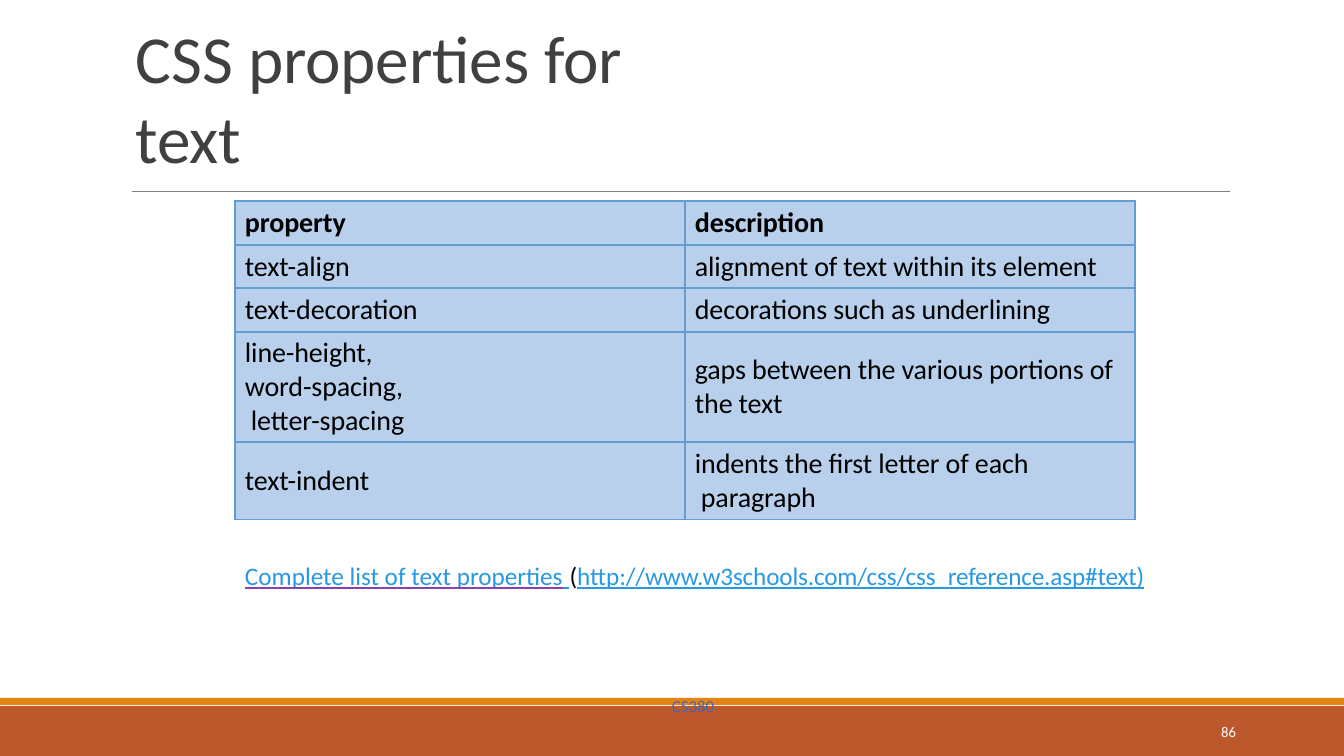
from dataclasses import dataclass

from lxml import etree
from pptx import Presentation
from pptx.dml.color import RGBColor
from pptx.enum.shapes import MSO_CONNECTOR, MSO_SHAPE
from pptx.enum.text import MSO_ANCHOR, PP_ALIGN
from pptx.oxml.ns import qn
from pptx.util import Emu, Pt

PX = 9071  # EMU in one px, at 100.8 px to the inch
RECT, LINE = MSO_SHAPE.RECTANGLE, MSO_CONNECTOR.STRAIGHT
TOP, MIDDLE = MSO_ANCHOR.TOP, MSO_ANCHOR.MIDDLE
LEFT, RIGHT = PP_ALIGN.LEFT, PP_ALIGN.RIGHT


@dataclass(frozen=True)
class Theme:
    font: str = "Calibri"
    title: str = "404040"
    body: str = "000000"
    link: str = "2998E3"
    visited: str = "8C3FB0"
    course: str = "4966AC"
    white: str = "FFFFFF"
    rule: str = "808080"
    band: str = "BD582C"
    stripe: str = "E48312"
    cell: str = "B8D0EC"
    border: str = "619DD1"
    title_size: float = 48
    table_size: float = 20
    link_size: float = 18
    course_size: float = 12
    number_size: float = 10.5


THEME = Theme()

PROPERTIES = [
    (["property"], ["description"]),
    (["text-align"], ["alignment of text within its element"]),
    (["text-decoration"], ["decorations such as underlining"]),
    (["line-height,", "word-spacing,", "letter-spacing"],
     ["gaps between the various portions of", "the text"]),
    (["text-indent"], ["indents the first letter of each", "paragraph"]),
]
INDENTED_LINES = {"letter-spacing", "paragraph"}
ROW_HEIGHTS = [44, 43, 44, 110, 78]


def px(*lengths):
    return [Emu(length * PX) for length in lengths]


def add_run(paragraph, text, size, color, spacing=-10, **formats):
    """Add a run; spacing is in hundredths of a point."""
    run = paragraph.add_run()
    run.text = text
    run.font.color.rgb = RGBColor.from_string(color)
    for name, value in {"name": THEME.font, "size": Pt(size), **formats}.items():
        setattr(run.font, name, value)
    run.font._element.set("spc", str(spacing))
    return run


def add_text_area(slide, box, anchor=TOP, align=LEFT):
    """Add a text box without margins and return its first paragraph."""
    frame = slide.shapes.add_textbox(*px(*box)).text_frame
    formats = {"word_wrap": True, "vertical_anchor": anchor, "margin_left": 0,
               "margin_right": 0, "margin_top": 0, "margin_bottom": 0}
    for name, value in formats.items():
        setattr(frame, name, value)
    frame.paragraphs[0].alignment = align
    return frame.paragraphs[0]


def add_bar(slide, box, color):
    bar = slide.shapes.add_shape(RECT, *px(*box))
    bar.shadow.inherit = False
    bar.fill.solid()
    bar.fill.fore_color.rgb = RGBColor.from_string(color)
    bar.line.fill.background()


def add_heading(slide, box):
    left, top, width, height = box
    rule = slide.shapes.add_connector(
        LINE, *px(left, top + height, left + width, top + height))
    rule.line.color.rgb = RGBColor.from_string(THEME.rule)
    rule.line.width = Pt(0.5)
    etree.SubElement(rule._element.spPr, qn("a:effectLst"))
    title = add_text_area(slide, (left + 4, top, 580, height - 11))
    add_run(title, "CSS properties for text", THEME.title_size, THEME.title)


def add_footer(slide, box):
    left, top, width, height = box
    add_bar(slide, (left, top + 8, width, height - 8), THEME.band)
    add_bar(slide, (left, top, width, 7), THEME.stripe)
    number = add_text_area(slide, (left + width - 252, top + 14, 144, 40),
                           MIDDLE, RIGHT)
    add_run(number, "86", THEME.number_size, THEME.white, 0)
    course = add_text_area(slide, (left + width // 2, top - 2, 60, 20), MIDDLE)
    add_run(course, "CS380", THEME.course_size, THEME.course, 0)


def outline_cell(cell):
    properties = cell._tc.get_or_add_tcPr()
    for position, side in enumerate(("lnL", "lnR", "lnT", "lnB")):
        edge = etree.Element(qn(f"a:{side}"), w=str(Pt(1)))
        fill = etree.SubElement(edge, qn("a:solidFill"))
        etree.SubElement(fill, qn("a:srgbClr"), val=THEME.border)
        properties.insert(position, edge)


def fill_cell(cell, lines, bold):
    margins = px(10, 0, 0, 0)
    for side, margin in zip(("left", "right", "top", "bottom"), margins):
        setattr(cell, f"margin_{side}", margin)
    cell.vertical_anchor = MIDDLE
    cell.fill.solid()
    cell.fill.fore_color.rgb = RGBColor.from_string(THEME.cell)
    outline_cell(cell)
    for index, line in enumerate(lines):
        frame = cell.text_frame
        paragraph = frame.add_paragraph() if index else frame.paragraphs[0]
        if line in INDENTED_LINES:
            paragraph._p.get_or_add_pPr().set("marL", str(6 * PX))
        add_run(paragraph, line, THEME.table_size, THEME.body, bold=bold)


def add_property_table(slide, box):
    table = slide.shapes.add_table(len(PROPERTIES), 2, *px(*box)).table
    table.first_row = table.horz_banding = False
    for column in table.columns:
        column.width = Emu(box[2] // 2 * PX)
    for index, (row, height) in enumerate(zip(table.rows, ROW_HEIGHTS)):
        row.height = Emu(height * PX)
        for cell, lines in zip(row.cells, PROPERTIES[index]):
            fill_cell(cell, lines, bold=index == 0)


def add_reference(slide, box):
    reference = add_text_area(slide, box)
    size = THEME.link_size
    label = add_run(reference, "Complete list of text properties", size,
                    THEME.link, 0, underline=True)
    underline = etree.Element(qn("a:uFill"))
    fill = etree.SubElement(underline, qn("a:solidFill"))
    etree.SubElement(fill, qn("a:srgbClr"), val=THEME.visited)
    label.font._element.insert(1, underline)
    add_run(reference, " ", size, THEME.link, 60, underline=True)
    add_run(reference, "(", size, THEME.body)
    add_run(reference, "http://www.w3schools.com/css/css_reference.asp#text)",
            size, THEME.link, underline=True)


def main():
    deck = Presentation()
    deck.slide_width, deck.slide_height = px(1344, 756)
    slide = deck.slides.add_slide(deck.slide_layouts[6])
    add_footer(slide, (0, 698, 1344, 58))
    add_heading(slide, (132, 16, 1098, 175))
    add_property_table(slide, (235, 201, 900, sum(ROW_HEIGHTS)))
    add_reference(slide, (245, 560, 916, 33))
    deck.save("out.pptx")


if __name__ == "__main__":
    main()
